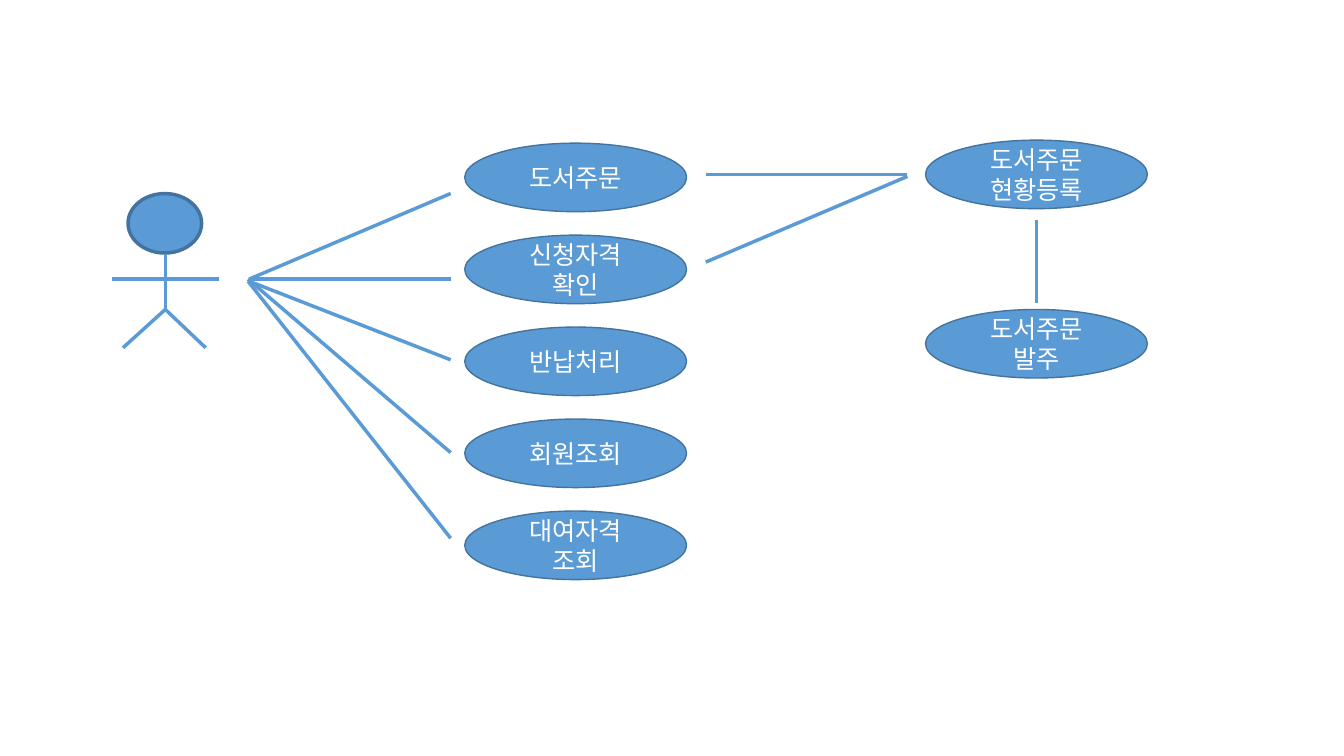
from lxml import etree
from pptx import Presentation
from pptx.dml.color import RGBColor
from pptx.enum.shapes import MSO_CONNECTOR, MSO_SHAPE
from pptx.enum.text import MSO_ANCHOR, PP_ALIGN
from pptx.oxml.ns import qn
from pptx.util import Inches, Pt

BLUE = RGBColor(0x5B, 0x9B, 0xD5)
OUTLINE = RGBColor(0x43, 0x73, 0x9E)
WHITE = RGBColor(0xFF, 0xFF, 0xFF)


class UseCaseDiagram:
    font = "Noto Sans CJK KR"
    text_size = Pt(18)
    stroke = Pt(2.5)
    case_size = (2.2, 0.68)

    def __init__(self, slide):
        self.shapes = slide.shapes

    def ellipse(self, left, top, width, height, outline):
        shape = self.shapes.add_shape(
            MSO_SHAPE.OVAL, Inches(left), Inches(top), Inches(width), Inches(height))
        shape.shadow.inherit = False
        shape.fill.solid()
        shape.fill.fore_color.rgb = BLUE
        shape.line.color.rgb = OUTLINE
        shape.line.width = outline
        return shape

    def use_case(self, left, top, *lines):
        frame = self.ellipse(left, top, *self.case_size, Pt(1)).text_frame
        frame.word_wrap = True
        frame.vertical_anchor = MSO_ANCHOR.MIDDLE
        for i, text in enumerate(lines):
            paragraph = frame.add_paragraph() if i else frame.paragraphs[0]
            paragraph.alignment = PP_ALIGN.CENTER
            run = paragraph.add_run()
            run.text = text
            run.font.size = self.text_size
            run.font.color.rgb = WHITE
            run.font.name = self.font
            # Korean glyphs take the East Asian typeface
            etree.SubElement(run.font._element, qn("a:ea"), typeface=self.font)

    def line(self, start, end):
        connector = self.shapes.add_connector(
            MSO_CONNECTOR.STRAIGHT, *(Inches(v) for v in (*start, *end)))
        connector.line.color.rgb = BLUE
        connector.line.width = self.stroke
        etree.SubElement(connector._element.spPr, qn("a:effectLst"))


prs = Presentation()
prs.slide_width, prs.slide_height = Inches(13.33), Inches(7.5)
diagram = UseCaseDiagram(prs.slides.add_slide(prs.slide_layouts[6]))

# Use cases of the actor, evenly stacked
actor_cases = [("도서주문",), ("신청자격", "확인"), ("반납처리",),
               ("회원조회",), ("대여자격", "조회")]
for row, lines in enumerate(actor_cases):
    diagram.use_case(4.61, 1.42 + row * 0.9125, *lines)

# Order use cases
diagram.use_case(9.18, 1.39, "도서주문", "현황등록")
diagram.use_case(9.18, 3.07, "도서주문", "발주")

# Actor: head, arms, body and legs
diagram.ellipse(1.27, 1.92, 0.73, 0.59, diagram.stroke)
hip = (1.64, 3.07)
diagram.line((1.11, 2.77), (2.17, 2.77))
diagram.line((1.64, 2.52), hip)
for foot_x in (2.04, 1.22):
    diagram.line(hip, (foot_x, 3.45))

# Links from the actor to its use cases
for start, end_y in [((2.47, 2.77), 1.92), ((2.47, 2.77), 2.77),
                     ((2.47, 2.79), 3.57), ((2.46, 2.77), 4.49),
                     ((2.46, 2.79), 5.34)]:
    diagram.line(start, (4.47, end_y))

# Links to and between the order use cases
diagram.line((7, 1.73), (9, 1.73))
diagram.line((7, 2.6), (9, 1.75))
diagram.line((10.28, 2.18), (10.28, 3.01))

prs.save("out.pptx")
